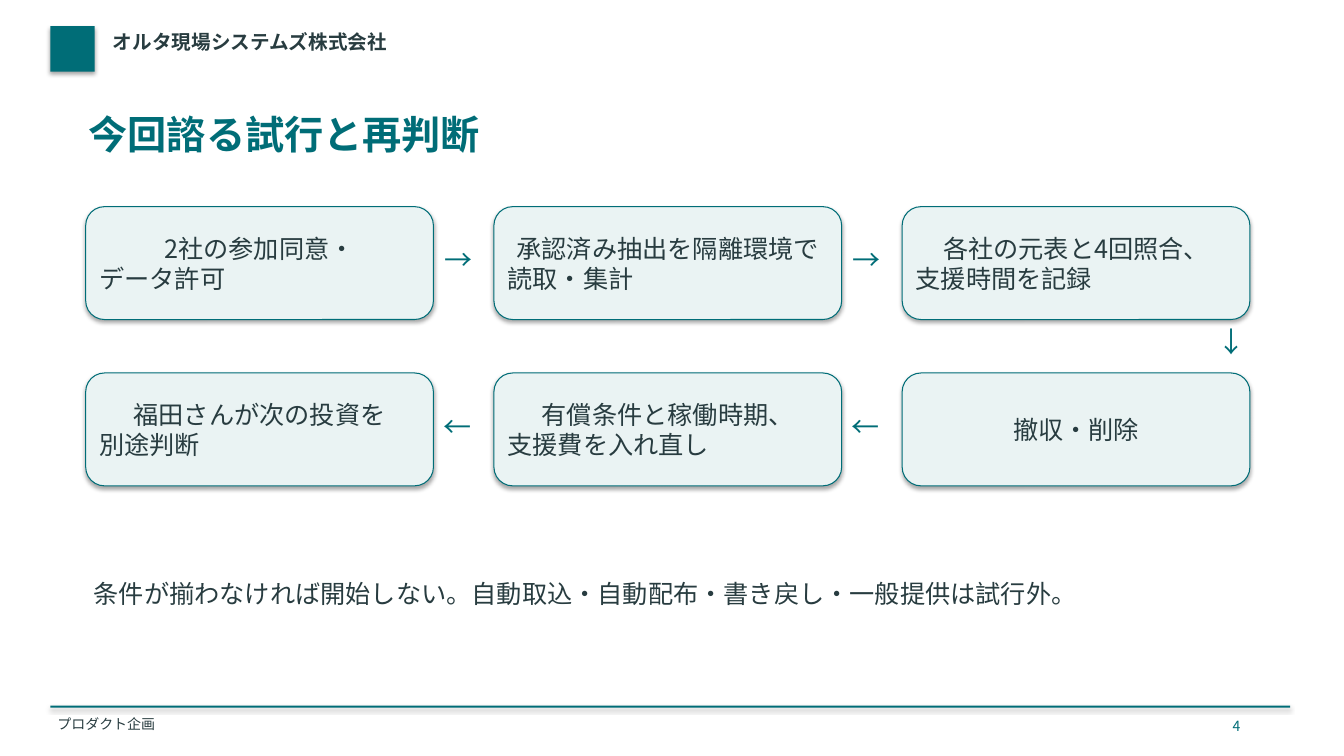
from lxml import etree
from pptx import Presentation
from pptx.dml.color import RGBColor
from pptx.enum import shapes, text
from pptx.oxml import ns
from pptx.util import Pt

COLORS = {"teal": "006D77", "ink": "283C40", "pale": "EAF3F3"}
FONT = "Noto Sans CJK JP"

# Step grid, in points
LEFT, TOP = 61.2, 147.6
STEP_WIDTH, STEP_HEIGHT = 248.4, 80.64
COLUMN_PITCH, ROW_PITCH = 291.6, 118.8
ARROW_SIZE, ARROW_DROP = 36, 23.04

# Column, row and lines of each step, in reading order
STEPS = [
    (0, 0, ["2社の参加同意・", "データ許可"]),
    (1, 0, ["承認済み抽出を隔離環境で", "読取・集計"]),
    (2, 0, ["各社の元表と4回照合、", "支援時間を記録"]),
    (2, 1, ["撤収・削除"]),
    (1, 1, ["有償条件と稼働時期、", "支援費を入れ直し"]),
    (0, 1, ["福田さんが次の投資を", "別途判断"]),
]


def rgb(name):
    return RGBColor.from_string(COLORS[name])


def set_margins(frame, horizontal, vertical):
    frame.margin_left = frame.margin_right = Pt(horizontal)
    frame.margin_top = frame.margin_bottom = Pt(vertical)
    frame.word_wrap = True


def add_run(paragraph, words, size, color, bold=False):
    run = paragraph.add_run()
    run.text = words
    run.font.size = Pt(size)
    run.font.bold = bold
    run.font.color.rgb = rgb(color)
    run.font.name = FONT
    # East Asian characters take their own font element
    properties = run._r.get_or_add_rPr()
    etree.SubElement(properties, ns.qn("a:ea")).set("typeface", FONT)


def add_label(slide, box, words, size, color, bold=False, margins=(5.76, 2.88)):
    label = slide.shapes.add_textbox(*map(Pt, box))
    set_margins(label.text_frame, *margins)
    add_run(label.text_frame.paragraphs[0], words, size, color, bold)


def add_bar(slide, box):
    # Shapes keep the soft theme shadow
    bar = slide.shapes.add_shape(shapes.MSO_SHAPE.RECTANGLE, *map(Pt, box))
    bar.fill.solid()
    bar.fill.fore_color.rgb = rgb("teal")
    bar.line.fill.background()


def add_step(slide, left, top, lines):
    step = slide.shapes.add_shape(
        shapes.MSO_SHAPE.ROUNDED_RECTANGLE,
        Pt(left), Pt(top), Pt(STEP_WIDTH), Pt(STEP_HEIGHT))
    step.fill.solid()
    step.fill.fore_color.rgb = rgb("pale")
    step.line.color.rgb = rgb("teal")
    step.line.width = Pt(0.75)
    frame = step.text_frame
    set_margins(frame, 5.76, 2.88)
    frame.vertical_anchor = text.MSO_ANCHOR.MIDDLE
    for index, line in enumerate(lines):
        paragraph = frame.add_paragraph() if index else frame.paragraphs[0]
        paragraph.alignment = text.PP_ALIGN.LEFT if index else text.PP_ALIGN.CENTER
        add_run(paragraph, line, 18, "ink")


def add_arrow(slide, left, top, symbol):
    add_label(slide, (left, top, ARROW_SIZE, ARROW_SIZE), symbol, 20, "teal")


def add_flow(slide):
    for column, row, lines in STEPS:
        add_step(slide, LEFT + column * COLUMN_PITCH, TOP + row * ROW_PITCH, lines)
    # The flow runs right, down, then back left
    for row, symbol, gap in ((0, "→", 2.16), (1, "←", 1.44)):
        for column in range(2):
            left = LEFT + column * COLUMN_PITCH + STEP_WIDTH + gap
            add_arrow(slide, left, TOP + row * ROW_PITCH + ARROW_DROP, symbol)
    add_arrow(slide, 864, 228.96, "↓")


def main():
    presentation = Presentation()
    presentation.slide_width, presentation.slide_height = Pt(960), Pt(540)
    slide = presentation.slides.add_slide(presentation.slide_layouts[6])

    # Header, with a plain block as the company mark
    add_bar(slide, (36, 18.72, 31.68, 32.4))
    add_label(slide, (79.2, 20.16, 720, 28.8), "オルタ現場システムズ株式会社",
              14, "ink", bold=True, margins=(1.44, 1.44))

    # Footer
    add_bar(slide, (36, 504, 885.6, 1.44))
    add_label(slide, (39.6, 509.76, 648, 15.84), "プロダクト企画",
              10, "ink", margins=(1.44, 1.44))
    add_label(slide, (874.8, 509.76, 36, 15.84), "4", 10, "teal")

    # Title, flow and closing note
    add_label(slide, (57.6, 75.6, 842.4, 54), "今回諮る試行と再判断",
              28, "teal", bold=True)
    add_flow(slide)
    add_label(slide, (LEFT, 410.4, 835.2, 57.6),
              "条件が揃わなければ開始しない。自動取込・自動配布・書き戻し・一般提供は試行外。",
              18, "ink")

    presentation.save("out.pptx")


if __name__ == "__main__":
    main()
